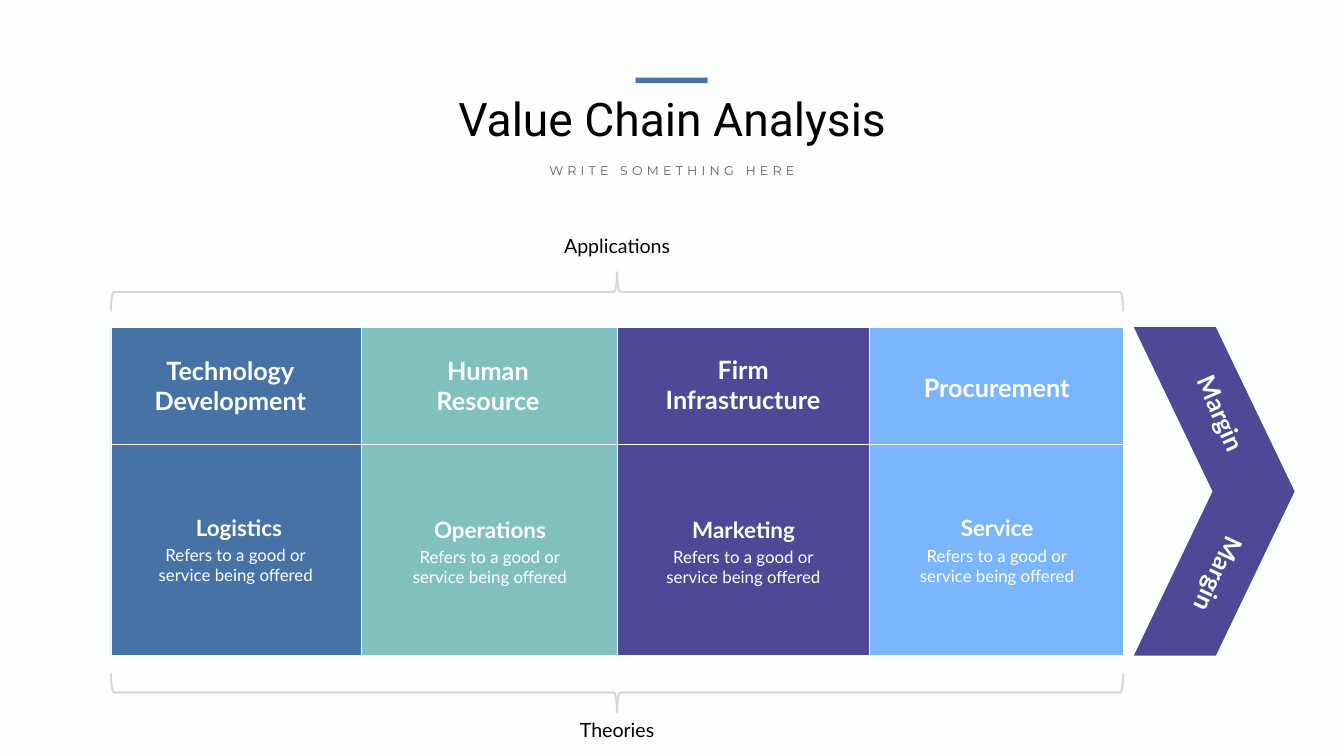
from dataclasses import dataclass

import pptx
import pptx.dml.color
import pptx.enum.shapes
import pptx.enum.text
import pptx.util

Inches = pptx.util.Inches
Shapes = pptx.enum.shapes.MSO_SHAPE


@dataclass(frozen=True)
class Theme:
    paper: str = "FDFFFE"
    white: str = "FFFFFF"
    black: str = "000000"
    gray: str = "606160"
    brace: str = "D8D8DB"
    blue: str = "4772A6"
    teal: str = "80C1C0"
    purple: str = "4F4897"
    sky: str = "7BB5FB"
    body_font: str = "Lato"
    title_font: str = "Roboto"
    subtitle_font: str = "Montserrat"
    title: int = 66
    heading: int = 36
    label: int = 32
    caption: int = 28
    body: int = 24
    subtitle: int = 18


THEME = Theme()
TOP, MIDDLE, BOTTOM = 6.49, 8.82, 13.0
RIGHT = 22.28
DESCRIPTION = ("Refers to a good or", "service being offered")


@dataclass(frozen=True)
class Stage:
    left: float
    heading: tuple[str, ...]
    heading_center: float
    heading_top: float
    activity: str
    activity_center: float
    activity_top: float
    body_center: float
    color: str


@dataclass(frozen=True)
class Brace:
    center_y: float
    rotation: float
    caption: str
    caption_top: float


@dataclass(frozen=True)
class Margin:
    left: float
    top: float
    rotation: float


STAGES = (
    Stage(2.2, ("Technology", "Development"), 4.57, 7.0,
          "Logistics", 4.74, 10.15, 4.68, THEME.blue),
    Stage(7.17, ("Human", "Resource"), 9.68, 7.0,
          "Operations", 9.72, 10.19, 9.72, THEME.teal),
    Stage(12.24, ("Firm", "Infrastructure"), 14.74, 6.98,
          "Marketing", 14.75, 10.19, 14.75, THEME.purple),
    Stage(17.25, ("Procurement",), 19.77, 7.34,
          "Service", 19.78, 10.16, 19.78, THEME.sky),
)
BRACES = (
    Brace(5.79, 90, "Applications", 4.59),
    Brace(13.74, 270, "Theories", 14.19),
)
MARGINS = (Margin(22.34, 7.85, 66.5), Margin(22.29, 11.05, 115.1))


def rgb(color: str) -> pptx.dml.color.RGBColor:
    return pptx.dml.color.RGBColor.from_string(color)


def write(box, *lines: str, size: int, color: str, font: str = THEME.body_font,
          bold: bool = False, spacing: int = 0) -> None:
    frame = box.text_frame
    frame.word_wrap = True
    frame.auto_size = pptx.enum.text.MSO_AUTO_SIZE.NONE
    frame.vertical_anchor = pptx.enum.text.MSO_ANCHOR.TOP
    for index, line in enumerate(lines):
        para = frame.add_paragraph() if index else frame.paragraphs[0]
        para.alignment = pptx.enum.text.PP_ALIGN.CENTER
        span = para.add_run()
        span.text = line
        span.font.name = font
        span.font.size = pptx.util.Pt(size)
        span.font.bold = bold
        span.font.color.rgb = rgb(color)
        if spacing:
            span.font._element.set("spc", str(spacing * 100))


def add_text(page, left: float, top: float, width: float, height: float,
             *lines: str, rotation: float = 0, **style) -> None:
    box = page.shapes.add_textbox(
        Inches(left), Inches(top), Inches(width), Inches(height))
    box.rotation = rotation
    write(box, *lines, **style)


def add_shape(page, kind, left: float, top: float, width: float, height: float,
              fill: str = "", line: str = "", line_width: float = 1):
    shape = page.shapes.add_shape(
        kind, Inches(left), Inches(top), Inches(width), Inches(height))
    shape.shadow.inherit = False
    if fill:
        shape.fill.solid()
        shape.fill.fore_color.rgb = rgb(fill)
    else:
        shape.fill.background()
    if line:
        shape.line.color.rgb = rgb(line)
        shape.line.width = pptx.util.Pt(line_width)
    else:
        shape.line.fill.background()
    return shape


def add_stage(page, stage: Stage, right: float) -> None:
    for top, bottom in ((TOP, MIDDLE), (MIDDLE, BOTTOM)):
        add_shape(page, Shapes.RECTANGLE, stage.left, top, right - stage.left,
                  bottom - top, fill=stage.color, line=THEME.paper)
    add_text(page, stage.heading_center - 1.9, stage.heading_top, 3.8,
             0.11 + 0.6 * len(stage.heading), *stage.heading,
             size=THEME.heading, color=THEME.paper, bold=True)
    add_text(page, stage.activity_center - 1.3, stage.activity_top, 2.6, 0.64,
             stage.activity, size=THEME.label, color=THEME.white, bold=True)
    add_text(page, stage.body_center - 1.73, stage.activity_top + 0.61, 3.45,
             0.91, *DESCRIPTION, size=THEME.body, color=THEME.white)


def add_brace(page, brace: Brace) -> None:
    thickness, span = 0.78, RIGHT - STAGES[0].left
    center_x = (RIGHT + STAGES[0].left) / 2
    shape = add_shape(page, Shapes.LEFT_BRACE, center_x - thickness / 2,
                      brace.center_y - span / 2, thickness, span,
                      line=THEME.brace, line_width=3)
    shape.rotation = brace.rotation
    add_text(page, center_x - 1.39, brace.caption_top, 2.78, 0.57,
             brace.caption, size=THEME.caption, color=THEME.black)


def add_header(page) -> None:
    title = page.shapes.title
    title.left, title.top = Inches(7.74), Inches(1.74)
    title.width, title.height = Inches(11.19), Inches(1.21)
    write(title, "Value Chain Analysis", size=THEME.title,
          color=THEME.black, font=THEME.title_font)
    add_text(page, 10.35, 3.19, 5.96, 0.4, "WRITE SOMETHING HERE",
             size=THEME.subtitle, color=THEME.gray,
             font=THEME.subtitle_font, spacing=6)
    add_shape(page, Shapes.RECTANGLE, 12.61, 1.54, 1.43, 0.11, fill=THEME.blue)


def main() -> None:
    deck = pptx.Presentation()
    deck.slide_width, deck.slide_height = Inches(26.66), Inches(15)
    page = deck.slides.add_slide(deck.slide_layouts[5])
    page.background.fill.solid()
    page.background.fill.fore_color.rgb = rgb(THEME.paper)

    add_header(page)
    rights = [stage.left for stage in STAGES[1:]] + [RIGHT]
    for stage, right in zip(STAGES, rights):
        add_stage(page, stage, right)
    for brace in BRACES:
        add_brace(page, brace)

    arrow = add_shape(page, Shapes.CHEVRON, 22.49, TOP, 3.19, 6.52,
                      fill=THEME.purple)
    arrow.adjustments[0] = 0.49
    for margin in MARGINS:
        add_text(page, margin.left, margin.top, 3.76, 0.71, "Margin",
                 rotation=margin.rotation, size=THEME.heading,
                 color=THEME.white, bold=True)
    deck.save("out.pptx")


if __name__ == "__main__":
    main()
